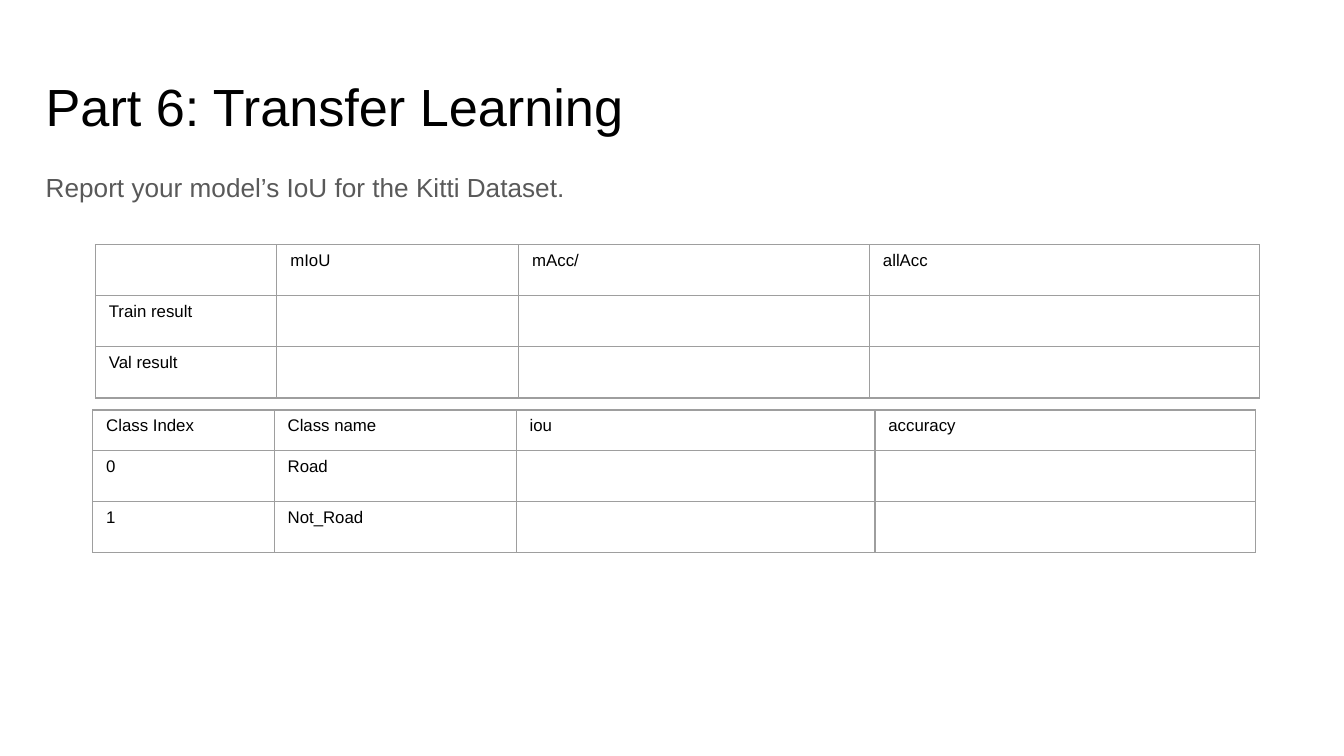
from lxml import etree
from pptx import Presentation
from pptx.dml.color import RGBColor
from pptx.enum.text import MSO_ANCHOR, MSO_AUTO_SIZE, PP_ALIGN
from pptx.oxml.ns import qn
from pptx.util import Inches, Pt

TOP = MSO_ANCHOR.TOP
NO_AUTOFIT = MSO_AUTO_SIZE.NONE
LEFT = PP_ALIGN.LEFT
BORDER_COLOR = "9E9E9E"
BORDER_WIDTH = 0.74


def write_text(frame, text, size, color="000000", spacing=1.0):
    para = frame.paragraphs[0]
    para.alignment = LEFT
    para.line_spacing = spacing
    para.space_before = Pt(0)
    span = para.add_run()
    span.text = text
    span.font.name = "Arial"
    span.font.size = Pt(size)
    span.font.color.rgb = RGBColor.from_string(color)
    return para


def add_borders(cell):
    properties = cell._tc.get_or_add_tcPr()
    for position, side in enumerate(("a:lnL", "a:lnR", "a:lnT", "a:lnB")):
        line = etree.Element(qn(side), w=str(int(Pt(BORDER_WIDTH))))
        fill = etree.SubElement(line, qn("a:solidFill"))
        etree.SubElement(fill, qn("a:srgbClr"), val=BORDER_COLOR)
        properties.insert(position, line)


# Widescreen page
deck = Presentation()
deck.slide_width, deck.slide_height = Inches(10), Inches(10 * 9 / 16)
page = deck.slides.add_slide(deck.slide_layouts[1])

# Title and body
headings = [
    (page.shapes.title, 0.45, 0.63, "Part 6: Transfer Learning", 28, "000000", 1.0),
    (page.placeholders[1], 1.14, 0.72,
     "Report your model’s IoU for the Kitti Dataset.", 14, "595959", 1.15),
]
for box, top, height, text, size, color, spacing in headings:
    box.left, box.top = Inches(0.34), Inches(top)
    box.width, box.height = Inches(9.32), Inches(height)
    frame = box.text_frame
    frame.word_wrap = True
    frame.auto_size = NO_AUTOFIT
    frame.vertical_anchor = TOP
    frame.margin_left = frame.margin_right = 0
    frame.margin_top = frame.margin_bottom = Inches(0.1)
    para = write_text(frame, text, size, color, spacing)
    para_properties = para._p.get_or_add_pPr()
    para_properties.set("marL", "0")
    para_properties.set("indent", "0")
    etree.SubElement(para_properties, qn("a:buNone"))

# Result tables
tables = [
    (0.69, 3.05, [1.35, 1.8, 2.67, 2.83],
     [["Class Index", "Class name", "iou", "accuracy\u00a0"],
      ["0", "Road\u00a0", "", ""],
      ["1", "Not_Road\u00a0", "", ""]]),
    (0.71, 1.82, [1.35, 1.8, 2.61, 2.9],
     [["", "mIoU", "mAcc/", "allAcc"],
      ["Train result", "", "", ""],
      ["Val result", "", "", ""]]),
]
for left, top, widths, rows in tables:
    table = page.shapes.add_table(
        len(rows), len(widths), Inches(left), Inches(top),
        Inches(sum(widths)), Inches(0.3 * len(rows))).table
    table.first_row = table.horz_banding = False
    for column, width in zip(table.columns, widths):
        column.width = Inches(width)
    for row_index, row in enumerate(rows):
        table.rows[row_index].height = Inches(0.3)
        for column_index, text in enumerate(row):
            cell = table.cell(row_index, column_index)
            cell.fill.background()
            cell.vertical_anchor = TOP
            cell.margin_left = cell.margin_right = Inches(0.1)
            cell.margin_top = cell.margin_bottom = Inches(0.05)
            add_borders(cell)
            if text:
                write_text(cell.text_frame, text, 9)
            else:
                # Empty cells keep the height of an 18-point line
                blank = cell.text_frame.paragraphs[0]._p
                end = etree.SubElement(blank, qn("a:endParaRPr"), sz="1800")
                etree.SubElement(end, qn("a:latin"), typeface="Arial")

deck.save("out.pptx")
